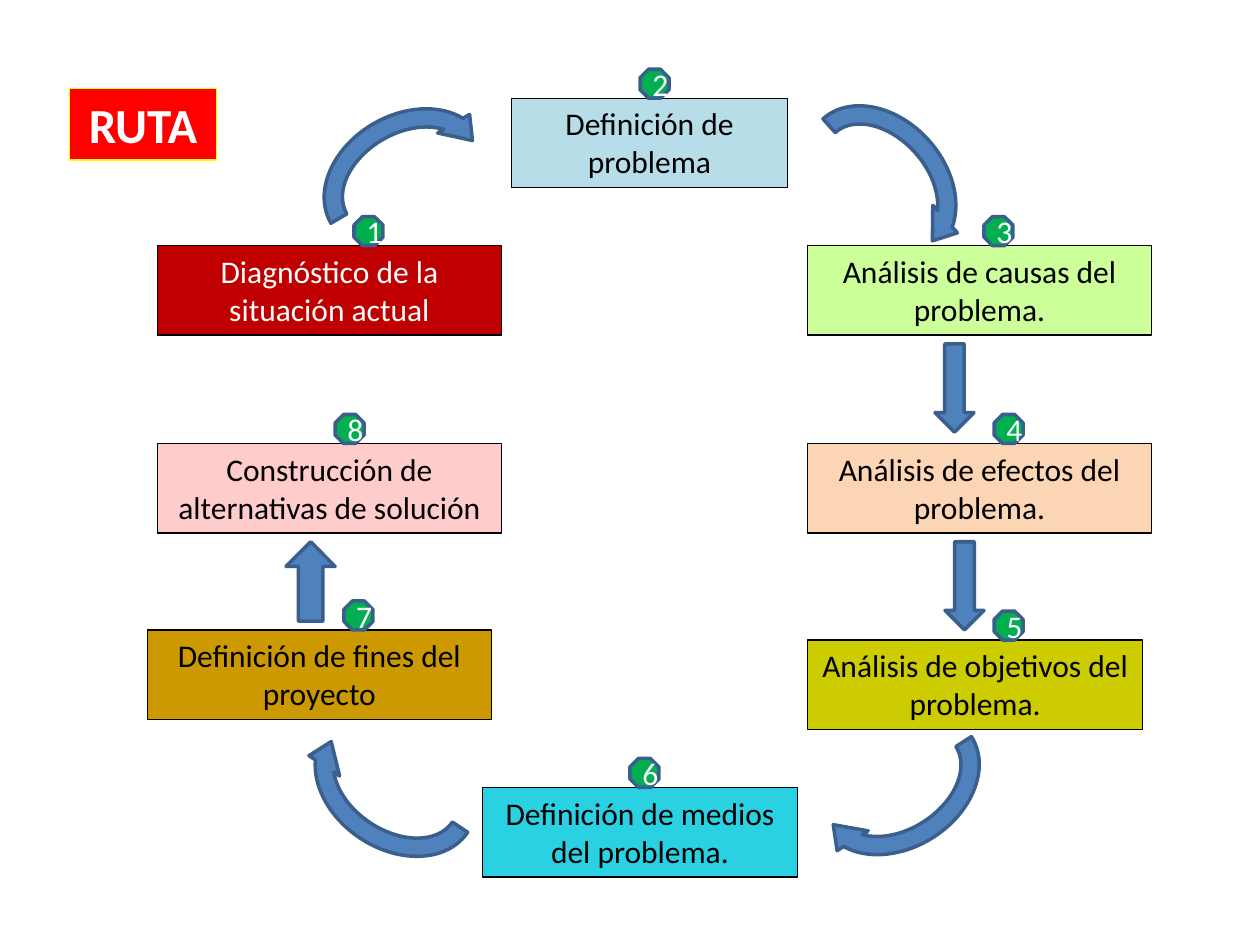
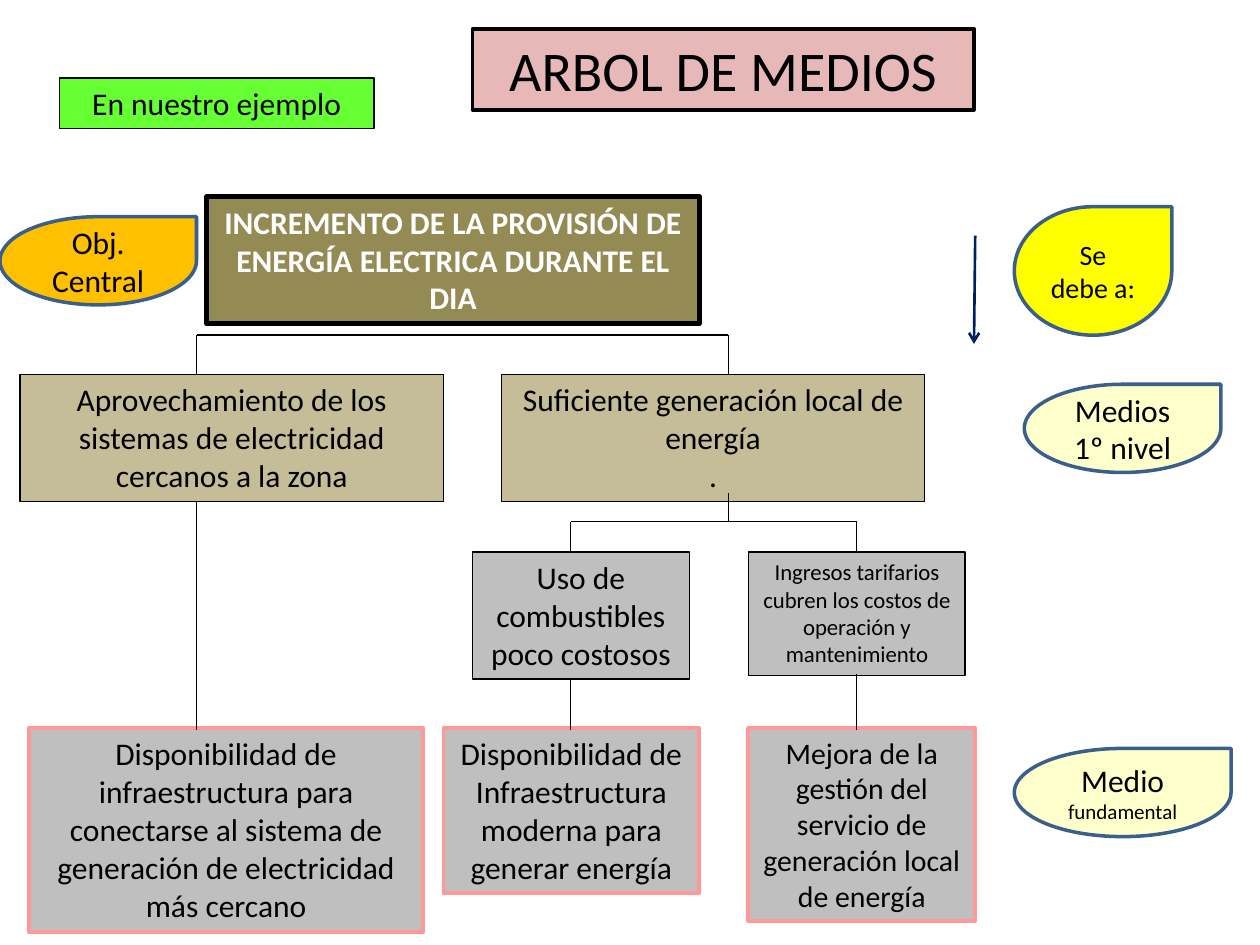
from lxml.etree import SubElement
from pptx import Presentation
from pptx.dml.color import RGBColor
from pptx.enum.shapes import MSO_CONNECTOR, MSO_SHAPE
from pptx.enum.text import MSO_ANCHOR, MSO_AUTO_SIZE, PP_ALIGN
from pptx.oxml.ns import qn
from pptx.util import Inches, Pt

FONT = "Calibri"
BLACK, WHITE = "000000", "FFFFFF"
BLUE, EDGE = "4F81BD", "3A5F8C"
GREEN, NAVY = "00B050", "002060"
TAN, GRAY, PINK, CREAM = "C4BD97", "BFBFBF", "FF9999", "FFFFCC"
BADGE = 0.23

STEPS = [
    ("Diagnóstico de la situación actual", 1.25, 1.95, 2.73, "C00000", WHITE, 2.81),
    ("Definición de problema", 4.06, 0.78, 2.19, "B7DEE8", BLACK, 5.08),
    ("Análisis de causas del problema.", 6.41, 1.95, 2.73, "CCFF99", BLACK, 7.81),
    ("Análisis de efectos del problema.", 6.41, 3.52, 2.73, "FCD5B5", BLACK, 7.89),
    ("Análisis de objetivos del problema.", 6.41, 5.08, 2.66, "CCCC00", BLACK, 7.89),
    ("Definición de medios del problema.", 3.83, 6.25, 2.5, "29D1E3", BLACK, 5),
    ("Definición de fines del proyecto", 1.17, 5, 2.73, "CC9900", BLACK, 2.73),
    ("Construcción de alternativas de solución", 1.25, 3.52, 2.73, "FFCCCC", BLACK, 2.66),
]
CURVES = [(6.23, 0.87, 48.1), (2.46, 0.84, 329.7), (6.37, 5.63, 147.5), (2.38, 5.64, 213.6)]
ARROWS = [(7.42, 2.73, 0.31, 0.7, 0), (7.5, 4.3, 0.31, 0.7, 0), (2.27, 4.3, 0.39, 0.63, 180)]

MEANS = [
    ("Aprovechamiento de los sistemas de electricidad cercanos a la zona",
     (0.16, 2.97, 3.36, 1.01), TAN, 18),
    ("Suficiente generación local de energía\n.", (3.98, 2.97, 3.36, 1.01), TAN, 18),
    ("Uso de combustibles poco costosos", (3.75, 4.38, 1.72, 1.01), GRAY, 18),
    ("Ingresos tarifarios cubren los costos de operación y mantenimiento",
     (5.94, 4.38, 1.72, 0.98), GRAY, 13),
]
ROOTS = [
    ("Disponibilidad de infraestructura para conectarse al sistema de generación "
     "de electricidad más cercano", (0.23, 5.78, 3.13, 1.62), 18),
    ("Disponibilidad de Infraestructura moderna para generar energía",
     (3.52, 5.78, 2.03, 1.31), 18),
    ("Mejora de la gestión del servicio de generación local de energía",
     (5.94, 5.78, 1.8, 1.53), 17),
]
DROPS = [
    ("Obj. Central", (0, 1.72, 1.56, 0.7), "FFC000", 18),
    ("Se debe a:", (8.05, 1.64, 1.25, 1.02), "FFFF00", 16),
    ("Medios 1º nivel", (8.13, 3.05, 1.56, 0.7), CREAM, 18),
    ("Medio ", (8.05, 5.94, 1.72, 0.7), CREAM, 18),
]


def color(code):
    return RGBColor.from_string(code)


def paint(shape, fill, edge, width):
    shape.fill.solid()
    shape.fill.fore_color.rgb = color(fill)
    shape.line.color.rgb = color(edge)
    shape.line.width = Pt(width)


def write(shape, text, size, ink, bold=False, anchor=MSO_ANCHOR.TOP):
    frame = shape.text_frame
    frame.text = text
    frame.word_wrap = True
    frame.vertical_anchor = anchor
    for para in frame.paragraphs:
        para.alignment = PP_ALIGN.CENTER
        para.font.name = FONT
        para.font.size = Pt(size)
        para.font.bold = bold
        para.font.color.rgb = color(ink)


def draw(slide, kind, spot, fill, edge=EDGE, width=2, turn=0):
    shape = slide.shapes.add_shape(kind, *map(Inches, spot))
    shape.shadow.inherit = False
    shape.rotation = turn
    paint(shape, fill, edge, width)
    return shape


def box(slide, text, spot, fill, size=18, ink=BLACK, edge=BLACK, width=0.75, bold=False):
    shape = draw(slide, MSO_SHAPE.RECTANGLE, spot, fill, edge, width)
    write(shape, text, size, ink, bold)
    shape.text_frame.auto_size = MSO_AUTO_SIZE.SHAPE_TO_FIT_TEXT


def label(slide, kind, text, spot, fill, size=18, ink=BLACK):
    shape = draw(slide, kind, spot, fill)
    write(shape, text, size, ink, anchor=MSO_ANCHOR.MIDDLE)
    return shape


def title(slide, text, spot, fill, edge, width, size, ink, bold=False):
    shape = slide.shapes.title
    shape.left, shape.top, shape.width, shape.height = map(Inches, spot)
    paint(shape, fill, edge, width)
    write(shape, text, size, ink, bold)
    shape.text_frame.auto_size = MSO_AUTO_SIZE.NONE


def link(slide, start, end, ink=BLACK, width=0.75, head=False):
    line = slide.shapes.add_connector(MSO_CONNECTOR.STRAIGHT, *map(Inches, start + end))
    line.line.color.rgb = color(ink)
    line.line.width = Pt(width)
    props = line.element.spPr
    if head:
        SubElement(props.find(qn("a:ln")), qn("a:tailEnd"), type="arrow")
    SubElement(props, qn("a:effectLst"))


def fork(slide, left, right, bar, foot):
    link(slide, (left, bar), (right, bar))
    for x in (left, right):
        link(slide, (x, foot), (x, bar))


def route(slide):
    title(slide, "RUTA", (0.55, 0.7, 1.17, 0.57), "FF0000", "FFFF00", 0.75, 28, WHITE, True)
    for text, x, y, wide, fill, ink, _ in STEPS:
        box(slide, text, (x, y, wide, 0.71), fill, ink=ink)
    for x, y, turn in CURVES:
        draw(slide, MSO_SHAPE.CIRCULAR_ARROW, (x, y, 1.52, 1.17), BLUE, turn=turn)
    for *spot, turn in ARROWS:
        draw(slide, MSO_SHAPE.DOWN_ARROW, spot, BLUE, turn=turn)
    for count, step in enumerate(STEPS, 1):
        spot = (step[-1], step[2] - BADGE, BADGE, BADGE)
        label(slide, MSO_SHAPE.OCTAGON, str(count), spot, GREEN, ink=WHITE)


def tree(slide):
    title(slide, "ARBOL DE MEDIOS", (3.75, 0.23, 3.98, 0.64), "E6B9B8", BLACK, 2.25, 32, BLACK)
    box(slide, "En nuestro ejemplo", (0.47, 0.62, 2.5, 0.4), "66FF33")
    box(slide, "INCREMENTO DE LA PROVISIÓN DE ENERGÍA ELECTRICA DURANTE EL DIA",
        (1.64, 1.56, 3.91, 1.01), "948A54", ink=WHITE, width=3, bold=True)
    for text, spot, fill, size in MEANS:
        box(slide, text, spot, fill, size)
    for text, spot, size in ROOTS:
        box(slide, text, spot, GRAY, size, edge=PINK, width=2.25)
    fork(slide, 1.56, 5.78, 2.66, 2.97)
    fork(slide, 4.53, 6.8, 4.14, 4.38)
    link(slide, (5.78, 3.91), (5.78, 4.14))
    for x, top in ((1.56, 3.98), (4.53, 5.39), (6.8, 5.35)):
        link(slide, (x, 5.79), (x, top))
    link(slide, (7.74, 1.87), (7.73, 2.73), NAVY, 1.5, True)
    for text, spot, fill, size in DROPS:
        drop = label(slide, MSO_SHAPE.TEAR, text, spot, fill, size)
    run = drop.text_frame.paragraphs[0].add_run()
    run.text = "fundamental"
    run.font.size = Pt(12)


def main():
    deck = Presentation()
    deck.slide_width, deck.slide_height = Inches(10), Inches(7.5)
    for build in (route, tree):
        build(deck.slides.add_slide(deck.slide_layouts[5]))
    deck.save("out.pptx")


if __name__ == "__main__":
    main()
